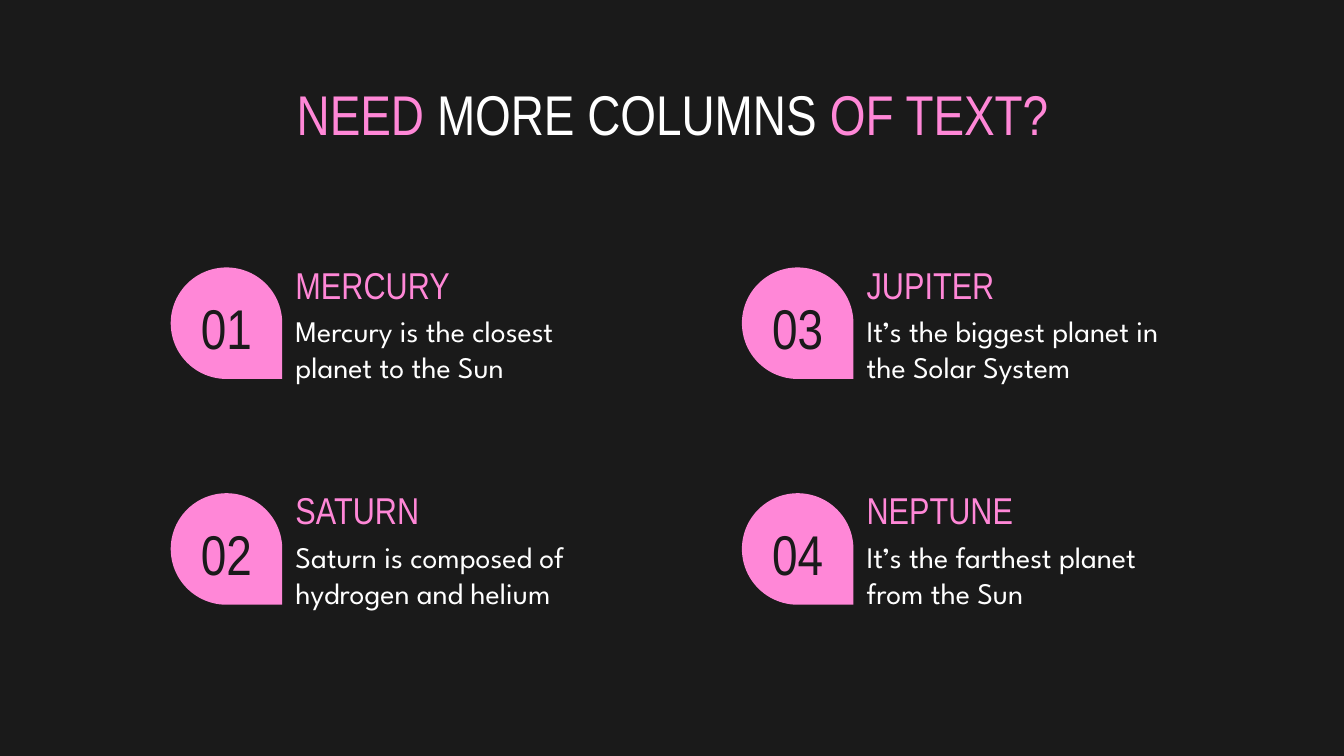
import pptx
import pptx.dml.color
import pptx.enum.shapes
import pptx.enum.text
import pptx.util

Inches = pptx.util.Inches
ALIGN = pptx.enum.text.PP_ALIGN
ANCHOR = pptx.enum.text.MSO_ANCHOR

COLORS = {"dark": "1A1A1A", "pink": "FF87D7", "white": "FFFFFF"}
HEADING_FONT = "Arial Narrow"
BODY_FONT = "League Spartan"

PLANETS = [
    ("MERCURY", "Mercury is the closest planet to the Sun"),
    ("SATURN", "Saturn is composed of hydrogen and helium"),
    ("JUPITER", "It’s the biggest planet in the Solar System"),
    ("NEPTUNE", "It’s the farthest planet from the Sun"),
]


def rgb(name):
    return pptx.dml.color.RGBColor.from_string(COLORS[name])


def add_text(page, left, top, width, height, spans, *, size, font=HEADING_FONT,
             align=ALIGN.LEFT, anchor=ANCHOR.TOP, space_after=0):
    """Add one paragraph made of (text, color name) spans."""
    box = page.shapes.add_textbox(Inches(left), Inches(top), Inches(width), Inches(height))
    frame = box.text_frame
    frame.word_wrap = True
    frame.vertical_anchor = anchor
    frame.margin_left = frame.margin_right = Inches(0.1)
    frame.margin_top = frame.margin_bottom = Inches(0.1)
    para = frame.paragraphs[0]
    para.alignment = align
    para.space_after = pptx.util.Pt(space_after)
    for text, color in spans:
        span = para.add_run()
        span.text = text
        span.font.name = font
        span.font.size = pptx.util.Pt(size)
        span.font.color.rgb = rgb(color)


def add_title(page, left, top, width, height):
    spans = [("NEED ", "pink"), ("MORE COLUMNS", "white"), (" OF TEXT?", "pink")]
    add_text(page, left, top, width, height, spans, size=30, align=ALIGN.CENTER)


def add_badge(page, left, top, size, number):
    # Teardrop turned so that its point is at the bottom right
    drop = page.shapes.add_shape(
        pptx.enum.shapes.MSO_SHAPE.TEAR,
        Inches(left), Inches(top), Inches(size), Inches(size))
    drop.rotation = 90
    drop.shadow.inherit = False
    drop.fill.solid()
    drop.fill.fore_color.rgb = rgb("pink")
    drop.line.fill.background()
    # Upright number, centred across the badge
    width = 0.72
    add_text(page, left + (size - width) / 2, top + 0.11, width, 0.67,
             [(f"{number:02d}", "dark")],
             size=30, align=ALIGN.CENTER, anchor=ANCHOR.MIDDLE)


def add_planet(page, left, top, number, name, fact):
    badge_size, text_width = 0.83, 2.48
    text_left = left + badge_size
    add_text(page, text_left, top, text_width, 0.41, [(name, "pink")],
             size=20, anchor=ANCHOR.MIDDLE)
    add_text(page, text_left, top + 0.32, text_width, 0.67, [(fact, "white")],
             size=16, font=BODY_FONT, space_after=16)
    add_badge(page, left, top + 0.08, badge_size, number)


def add_planet_grid(page, left, top, column_step, row_step, rows=2):
    # Numbers run down each column
    for index, (name, fact) in enumerate(PLANETS):
        column, row = divmod(index, rows)
        add_planet(page, left + column * column_step, top + row * row_step,
                   index + 1, name, fact)


def main():
    deck = pptx.Presentation()
    # Widescreen, 16 to 9
    deck.slide_width = Inches(10)
    deck.slide_height = deck.slide_width * 9 // 16
    page = deck.slides.add_slide(deck.slide_layouts[6])
    page.background.fill.solid()
    page.background.fill.fore_color.rgb = rgb("dark")
    add_title(page, 0.79, 0.49, 8.43, 0.63)
    add_planet_grid(page, 1.27, 1.91, column_step=4.25, row_step=1.68)
    deck.save("out.pptx")


if __name__ == "__main__":
    main()
